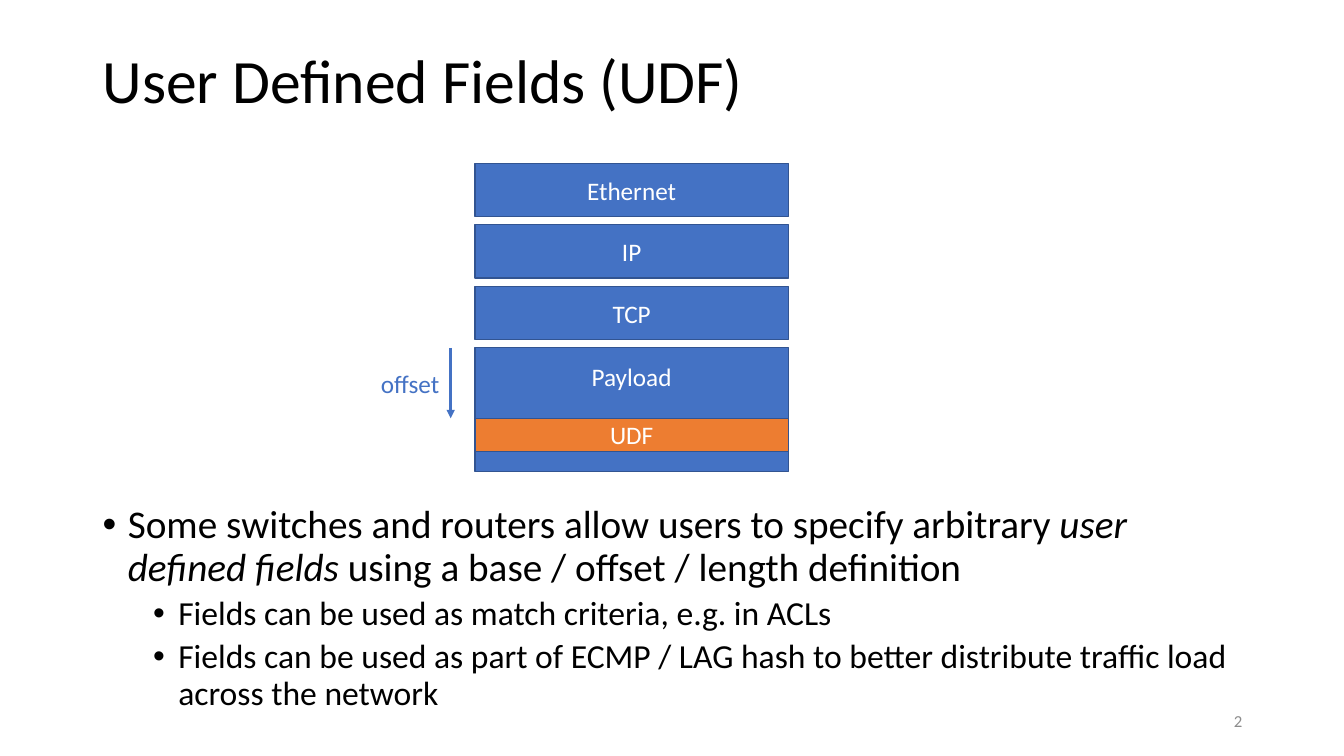
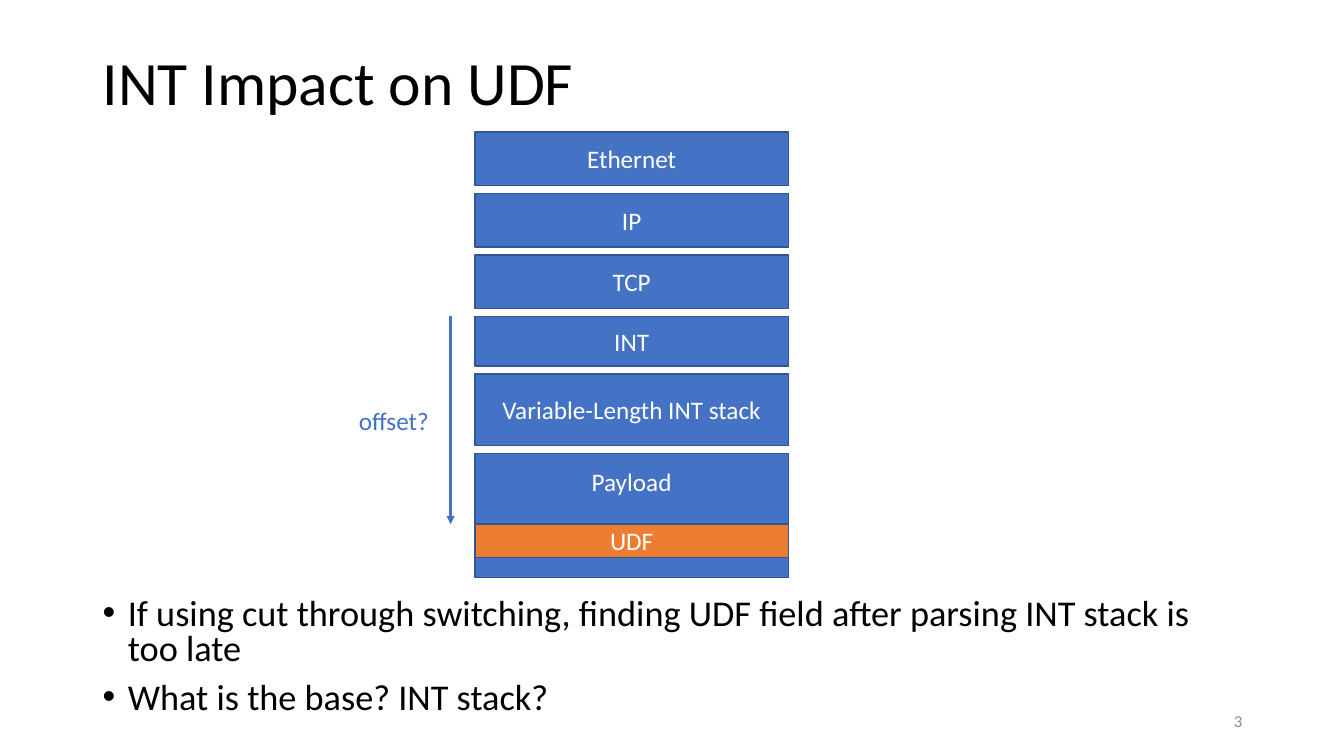
from pptx import Presentation
from pptx.dml.color import RGBColor
from pptx.enum.shapes import MSO_CONNECTOR, MSO_SHAPE
from pptx.enum.text import MSO_ANCHOR as Anchor, MSO_AUTO_SIZE as AutoSize, PP_ALIGN as Align
from pptx.oxml.ns import qn
from pptx.util import Inches, Pt
from lxml.etree import SubElement

FONT = "Calibri"
BLACK = RGBColor(0x00, 0x00, 0x00)
WHITE = RGBColor(0xFF, 0xFF, 0xFF)
BLUE = RGBColor(0x44, 0x72, 0xC4)
NAVY = RGBColor(0x32, 0x54, 0x91)
ORANGE = RGBColor(0xED, 0x7D, 0x31)
GREY = RGBColor(0x8C, 0x8C, 0x8C)

MARGIN, CONTENT_WIDTH = 0.92, 11.5
STACK_LEFT, STACK_WIDTH, STACK_GAP = 4.71, 3.11, 0.08
HEADERS = [("Ethernet", 0.53), ("IP", 0.53), ("TCP", 0.53)]
INT_HEADERS = [("INT", 0.49), ("Variable-Length INT stack", 0.71)]
PAYLOAD_HEIGHT, UDF_OFFSET, UDF_HEIGHT = 1.23, 0.7, 0.33
ARROW_X, LABEL_HEIGHT = 4.47, 0.4


def style(paragraph, size, color, align=Align.LEFT):
    paragraph.alignment = align
    paragraph.font.name = FONT
    paragraph.font.size = Pt(size)
    paragraph.font.color.rgb = color


def add_text_box(slide, left, top, width, height, anchor=Anchor.TOP):
    shape = slide.shapes.add_textbox(Inches(left), Inches(top), Inches(width), Inches(height))
    frame = shape.text_frame
    frame.word_wrap = True
    frame.vertical_anchor = anchor
    return frame


def add_title(slide, text, height):
    frame = add_text_box(slide, MARGIN, 0.4, CONTENT_WIDTH, height, Anchor.MIDDLE)
    paragraph = frame.paragraphs[0]
    paragraph.text = text
    paragraph.line_spacing = 0.9
    style(paragraph, 44, BLACK)


def add_page_number(slide, number):
    frame = add_text_box(slide, 9.42, 6.95, 3, 0.4, Anchor.MIDDLE)
    paragraph = frame.paragraphs[0]
    paragraph.text = str(number)
    style(paragraph, 12, GREY, Align.RIGHT)


def add_bullets(slide, top, height, bullets, line_spacing):
    frame = add_text_box(slide, MARGIN, top, CONTENT_WIDTH, height)
    for index, (level, size, runs) in enumerate(bullets):
        paragraph = frame.paragraphs[0] if index == 0 else frame.add_paragraph()
        paragraph.level = level
        paragraph.line_spacing = line_spacing
        paragraph.space_before = Pt(5 if level else 10)
        style(paragraph, size, BLACK)
        properties = paragraph._p.get_or_add_pPr()
        properties.set("marL", str(Inches(0.25 + 0.5 * level)))
        properties.set("indent", str(Inches(-0.25)))
        bullet_font = SubElement(properties, qn("a:buFont"))
        bullet_font.set("typeface", "Arial")
        bullet = SubElement(properties, qn("a:buChar"))
        bullet.set("char", "•")
        properties.append(properties.find(qn("a:defRPr")))
        for text, italic in runs:
            run = paragraph.add_run()
            run.text = text
            if italic:
                run.font.italic = True


def add_layer(slide, text, top, height, fill=BLUE):
    shape = slide.shapes.add_shape(
        MSO_SHAPE.RECTANGLE, Inches(STACK_LEFT), Inches(top), Inches(STACK_WIDTH), Inches(height))
    shape.shadow.inherit = False
    shape.fill.solid()
    shape.fill.fore_color.rgb = fill
    shape.line.color.rgb = NAVY
    shape.line.width = Pt(1)
    frame = shape.text_frame
    frame.word_wrap = True
    frame.vertical_anchor = Anchor.MIDDLE
    frame.paragraphs[0].text = text
    style(frame.paragraphs[0], 18, WHITE, Align.CENTER)
    return frame


def add_offset_arrow(slide, top, bottom, text, label_left, label_width):
    arrow = slide.shapes.add_connector(
        MSO_CONNECTOR.STRAIGHT, Inches(ARROW_X), Inches(top), Inches(ARROW_X), Inches(bottom))
    arrow.line.color.rgb = BLUE
    arrow.line.width = Pt(1.75)
    SubElement(arrow.line._get_or_add_ln(), qn("a:tailEnd")).set("type", "triangle")
    SubElement(arrow._element.spPr, qn("a:effectLst"))

    label_top = (top + bottom - LABEL_HEIGHT) / 2
    frame = add_text_box(slide, label_left, label_top, label_width, LABEL_HEIGHT)
    frame.word_wrap = False
    frame.auto_size = AutoSize.SHAPE_TO_FIT_TEXT
    frame.paragraphs[0].text = text
    style(frame.paragraphs[0], 18, BLUE)


def add_packet(slide, top, extra_headers, label, label_left, label_width):
    base = top + sum(height + STACK_GAP for _, height in HEADERS)
    for name, height in HEADERS + extra_headers:
        add_layer(slide, name, top, height)
        top += height + STACK_GAP
    payload = add_layer(slide, "Payload", top, PAYLOAD_HEIGHT)
    payload.vertical_anchor = Anchor.TOP
    payload.margin_top = Inches(0.13)
    udf_top = top + UDF_OFFSET
    add_layer(slide, "UDF", udf_top, UDF_HEIGHT, ORANGE)
    add_offset_arrow(slide, base, udf_top, label, label_left, label_width)


def add_slide(presentation, number, title, title_height):
    slide = presentation.slides.add_slide(presentation.slide_layouts[6])
    add_title(slide, title, title_height)
    add_page_number(slide, number)
    return slide


def build_udf_slide(presentation):
    slide = add_slide(presentation, 2, "User Defined Fields (UDF)", 0.85)
    add_packet(slide, 1.62, [], "offset", 3.68, 0.79)
    add_bullets(slide, 4.96, 2.2, [
        (0, 28, [("Some switches and routers allow users to specify arbitrary ", False),
                 ("user defined fields", True),
                 (" using a base / offset / length definition", False)]),
        (1, 24, [("Fields can be used as match criteria, e.g. in ACLs", False)]),
        (1, 24, [("Fields can be used as part of ECMP / LAG hash to better distribute "
                  "traffic load across the network", False)]),
    ], 0.9)


def build_int_slide(presentation):
    slide = add_slide(presentation, 3, "INT Impact on UDF", 0.89)
    add_packet(slide, 1.31, INT_HEADERS, "offset?", 3.46, 0.91)
    add_bullets(slide, 5.89, 1.31, [
        (0, 25.9, [("If using cut through switching, finding UDF field after parsing "
                    "INT stack is too late", False)]),
        (0, 25.9, [("What is the base? INT stack?", False)]),
    ], 0.8)


def main():
    presentation = Presentation()
    presentation.slide_width = Inches(13.33)
    presentation.slide_height = Inches(7.5)
    build_udf_slide(presentation)
    build_int_slide(presentation)
    presentation.save("out.pptx")


if __name__ == "__main__":
    main()
